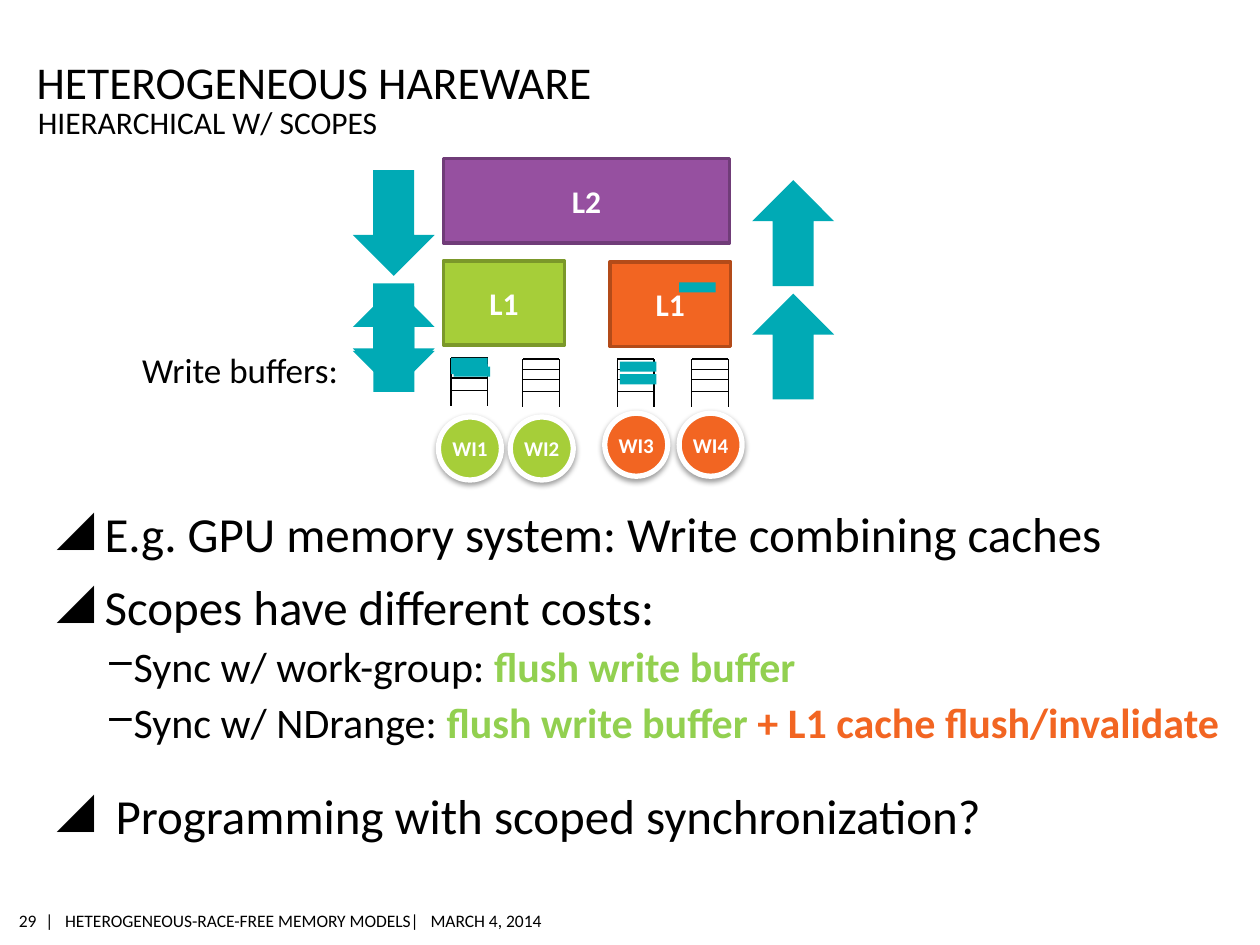
"""Build the slide on hierarchical, scoped memory hardware."""
from lxml import etree
from pptx import Presentation
from pptx.dml.color import RGBColor
from pptx.enum.shapes import MSO_CONNECTOR, MSO_SHAPE
from pptx.enum.text import MSO_ANCHOR, MSO_AUTO_SIZE, PP_ALIGN
from pptx.oxml.ns import qn
from pptx.util import Inches, Pt

RECT, OVAL, ARROW = MSO_SHAPE.RECTANGLE, MSO_SHAPE.OVAL, MSO_SHAPE.DOWN_ARROW
TOP, MIDDLE, BOTTOM = MSO_ANCHOR.TOP, MSO_ANCHOR.MIDDLE, MSO_ANCHOR.BOTTOM
LEFT, CENTER, RIGHT = PP_ALIGN.LEFT, PP_ALIGN.CENTER, PP_ALIGN.RIGHT
STRAIGHT = MSO_CONNECTOR.STRAIGHT
FONT = "Calibri"
BLACK, WHITE, TEAL = "000000", "FFFFFF", "00AAB5"
GREEN, ORANGE, PURPLE, LIME = "A6CE39", "F26522", "9650A0", "92D050"

TITLE = "HETEROGENEOUS HAREWARE"
LABELS = [  # text, box, size, insets, anchor, alignment
    ("|   HETEROGENEOUS-RACE-FREE MEMORY MODELS|   MARCH 4, 2014",
     (0.36, 7.18, 4.03, 0.26), 10, (0, 0.04), MIDDLE, LEFT),
    ("29", (0.13, 7.18, 0.16, 0.26), 10, (0, 0.04), MIDDLE, RIGHT),
    ("HIERARCHICAL W/ SCOPES", (0.3, 0.82, 8.4, 0.31), 18, (0, 0), TOP, LEFT),
    ("Write buffers:", (1.03, 2.73, 1.78, 0.4), 20, (0.1, 0.05), MIDDLE, LEFT),
]
LEVELS = [  # bullet, left margin, hanging indent, size
    ("◢", 0.38, 0.38, 28),
    ("‒", 0.6, 0.2, 24),
]
POINTS = [  # level, space before, runs
    (0, 0, [("E.g. GPU memory system: Write combining caches", None)]),
    (0, 8, [("Scopes have different costs:", None)]),
    (1, 3, [("Sync w/ work-group: ", None), ("flush write buffer", LIME)]),
    (1, 3, [("Sync w/ NDrange: ", None), ("flush write buffer ", LIME),
            ("+ L1 cache flush/invalidate", ORANGE)]),
    (0, 22, [(" Programming with scoped synchronization?", None)]),
]
CACHES = [  # text, left, top, width, fill, border
    ("L1", 3.52, 2.07, 0.96, GREEN, "7B982A"),
    ("L1", 4.84, 2.08, 0.96, ORANGE, "B34B19"),
    ("L2", 3.52, 1.26, 2.27, PURPLE, "703C78"),
]
CACHE_HEIGHT = 0.67
WORK_ITEMS = [  # text, left, top, fill, buffer top
    ("WI1", 3.48, 3.31, GREEN, 2.84),
    ("WI2", 4.05, 3.31, GREEN, 2.85),
    ("WI3", 4.8, 3.28, ORANGE, 2.85),
    ("WI4", 5.39, 3.28, ORANGE, 2.85),
]
ITEM_SIZE, BUFFER_INSET = 0.5, 0.1
BUFFER_WIDTH, BUFFER_HEIGHT = 0.29, 0.38
BUFFER_ROWS = (0, 0.08, 0.16, 0.26)
WRITES = [(3.58, 2.84), (3.6, 2.91), (3.58, 2.89),
          (4.92, 2.87), (4.92, 2.97), (5.39, 2.24)]
WRITE_HEIGHT = 0.08
ARROWS = [  # left, top, rotation
    (2.8, 2.27, 180), (2.8, 2.27, 0), (5.97, 2.33, 180),
    (5.97, 1.43, 180), (2.8, 2.25, 0), (2.8, 1.35, 0),
]
ARROW_SIZE = (0.65, 0.84)


def rgb(value):
    return RGBColor.from_string(value)


def inches(*values):
    return [Inches(value) for value in values]


def set_font(font, size, color=BLACK, bold=False):
    font.name, font.size, font.bold = FONT, Pt(size), bold
    font.color.rgb = rgb(color)


def set_frame(frame, insets, anchor, wrap=True):
    frame.margin_left = frame.margin_right = Inches(insets[0])
    frame.margin_top = frame.margin_bottom = Inches(insets[1])
    frame.vertical_anchor = anchor
    frame.word_wrap = wrap
    frame.auto_size = MSO_AUTO_SIZE.NONE


def write(frame, text, size, align, color=BLACK, bold=False):
    paragraph = frame.paragraphs[0]
    paragraph.text, paragraph.alignment = text, align
    set_font(paragraph.font, size, color, bold)


def add_block(slide, kind, box, fill, border=None, border_width=0):
    block = slide.shapes.add_shape(kind, *inches(*box))
    block.shadow.inherit = False
    block.fill.solid()
    block.fill.fore_color.rgb = rgb(fill)
    if border:
        block.line.color.rgb = rgb(border)
        block.line.width = Pt(border_width)
    else:
        block.line.fill.background()
    return block


def add_line(slide, *ends):
    line = slide.shapes.add_connector(STRAIGHT, *inches(*ends))
    line.line.color.rgb = rgb(BLACK)
    line.line.width = Pt(0.75)
    etree.SubElement(line._element.spPr, qn("a:effectLst"))


def add_shadow(block):
    effects = block._element.spPr.find(qn("a:effectLst"))
    shadow = etree.SubElement(effects, qn("a:outerShdw"), blurRad="40000",
                              dist="20000", dir="5400000", rotWithShape="0")
    color = etree.SubElement(shadow, qn("a:srgbClr"), val=BLACK)
    etree.SubElement(color, qn("a:alpha"), val="38000")


def add_buffer(slide, left, top):
    right, bottom = left + BUFFER_WIDTH, top + BUFFER_HEIGHT
    for side in (left, right):
        add_line(slide, side, bottom, side, top)
    for row in BUFFER_ROWS:
        add_line(slide, right, top + row, left, top + row)


def add_points(slide):
    frame = slide.shapes.add_textbox(*inches(0.45, 3.95, 9.34, 2.89)).text_frame
    set_frame(frame, (0, 0.05), TOP)
    for index, (level, space, runs) in enumerate(POINTS):
        paragraph = frame.add_paragraph() if index else frame.paragraphs[0]
        bullet, margin, hanging, size = LEVELS[level]
        paragraph.level = level
        paragraph.space_before = Pt(space)
        properties = paragraph._p.get_or_add_pPr()
        properties.set("marL", str(Inches(margin)))
        properties.set("indent", str(-Inches(hanging)))
        tint = etree.SubElement(properties, qn("a:buClr"))
        etree.SubElement(tint, qn("a:srgbClr"), val=BLACK)
        etree.SubElement(properties, qn("a:buChar"), char=bullet)
        set_font(paragraph.font, size)
        for text, accent in runs:
            run = paragraph.add_run()
            run.text = text
            if accent:
                run.font.bold = True
                run.font.color.rgb = rgb(accent)


def main():
    deck = Presentation()
    deck.slide_width, deck.slide_height = inches(10, 7.5)
    slide = deck.slides.add_slide(deck.slide_layouts[5])

    title = slide.shapes.title
    title.left, title.top, title.width, title.height = inches(0.29, 0.34, 8.4, 0.52)
    set_frame(title.text_frame, (0, 0), BOTTOM)
    write(title.text_frame, TITLE, 26, LEFT)

    add_points(slide)
    for text, box, size, insets, anchor, align in LABELS:
        frame = slide.shapes.add_textbox(*inches(*box)).text_frame
        set_frame(frame, insets, anchor, wrap=False)
        write(frame, text, size, align)

    for text, left, top, width, fill, border in CACHES:
        cache = add_block(slide, RECT, (left, top, width, CACHE_HEIGHT), fill, border, 2)
        set_frame(cache.text_frame, (0.25, 0.05), MIDDLE)
        write(cache.text_frame, text, 18, CENTER, WHITE, True)

    for text, left, top, fill, buffer_top in WORK_ITEMS:
        item = add_block(slide, OVAL, (left, top, ITEM_SIZE, ITEM_SIZE), fill, WHITE, 3)
        add_shadow(item)
        set_frame(item.text_frame, (0, 0), MIDDLE)
        write(item.text_frame, text, 12, CENTER, WHITE, True)
        add_buffer(slide, left + BUFFER_INSET, buffer_top)

    for left, top in WRITES:
        add_block(slide, RECT, (left, top, BUFFER_WIDTH, WRITE_HEIGHT), TEAL)
    for left, top, rotation in ARROWS:
        add_block(slide, ARROW, (left, top, *ARROW_SIZE), TEAL).rotation = rotation

    deck.save("out.pptx")


if __name__ == "__main__":
    main()
